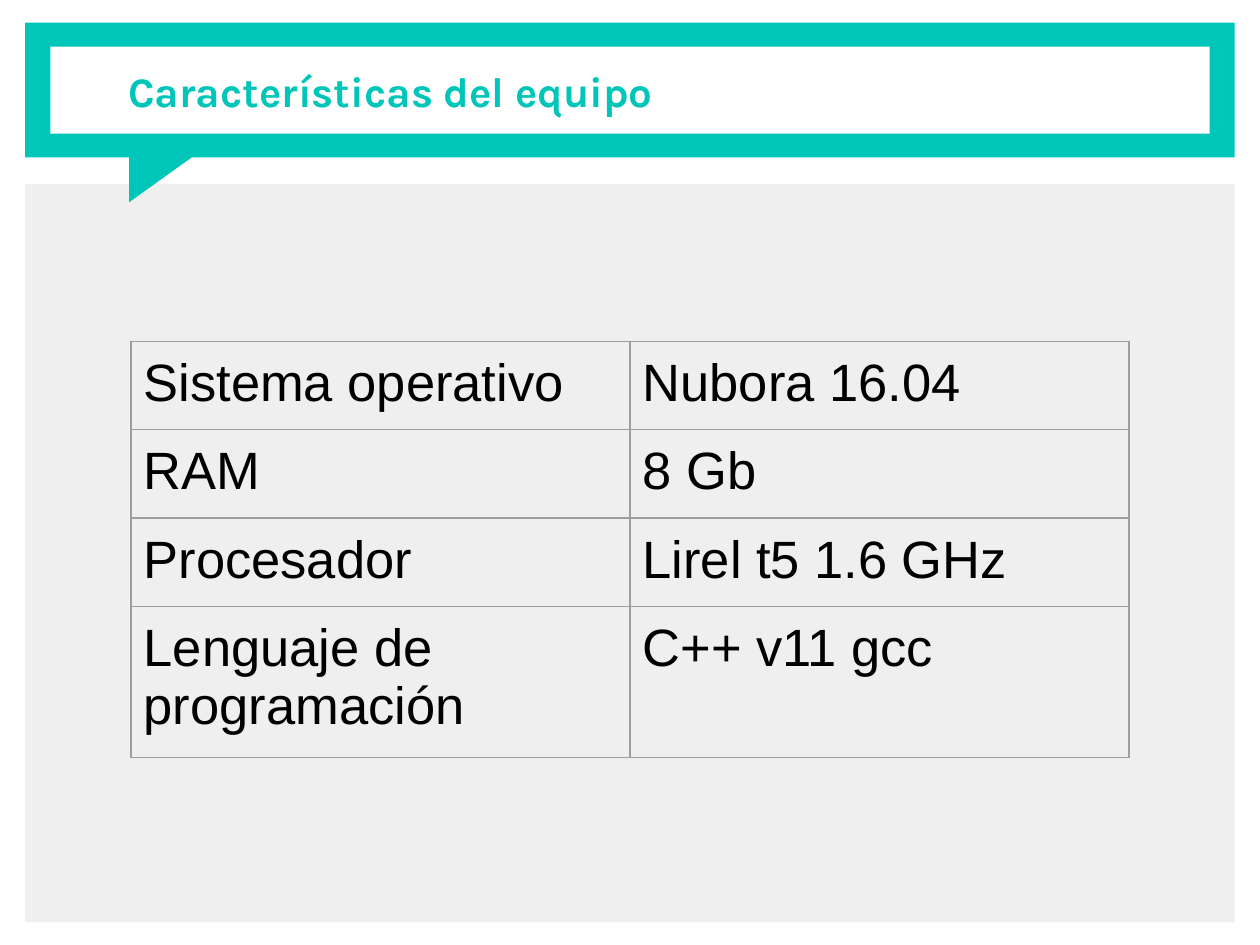
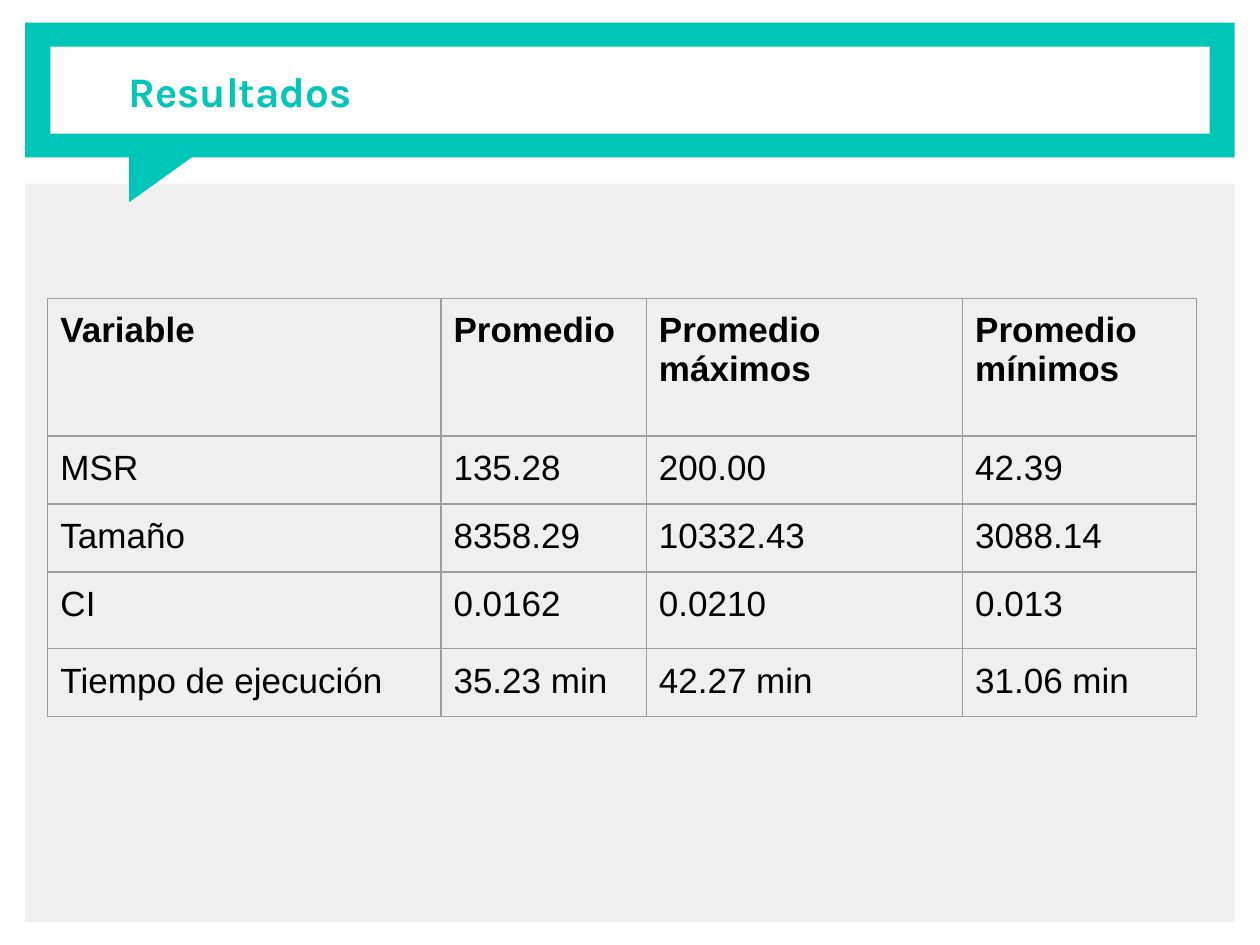
from lxml import etree
from pptx import Presentation
from pptx.dml.color import RGBColor
from pptx.enum.shapes import MSO_SHAPE
from pptx.enum.text import MSO_ANCHOR
from pptx.oxml.ns import qn
from pptx.util import Inches, Pt

RECTANGLE = MSO_SHAPE.RECTANGLE
RIGHT_TRIANGLE = MSO_SHAPE.RIGHT_TRIANGLE
MIDDLE = MSO_ANCHOR.MIDDLE

# Content
SLIDES = [
    {
        "title": "Características del equipo",
        "rows": [
            ("Sistema operativo", "Nubora 16.04"),
            ("RAM", "8 Gb"),
            ("Procesador", "Lirel t5 1.6 GHz"),
            ("Lenguaje de programación", "C++ v11 gcc"),
        ],
        "position": (1.04, 2.71),
        "column_widths": [3.96] * 2,
        "row_heights": [0.66] * 3 + [1.13],
        "font_size": 30,
        "has_header": False,
    },
    {
        "title": "Resultados",
        "rows": [
            ("Variable", "Promedio", "Promedio máximos", "Promedio mínimos"),
            ("MSR", "135.28", "200.00", "42.39"),
            ("Tamaño", "8358.29", "10332.43", "3088.14"),
            ("CI", "0.0162", "0.0210", "0.013"),
            ("Tiempo de ejecución", "35.23 min", "42.27 min", "31.06 min"),
        ],
        "position": (0.38, 2.37),
        "column_widths": [3.12, 1.63, 2.51, 1.86],
        "row_heights": [1.09, 0.54, 0.54, 0.61, 0.54],
        "font_size": 20,
        "has_header": True,
    },
]

# Shared style
TEAL, WHITE, GRAY, BORDER, BLACK = "00C5B9", "FFFFFF", "EFEFEF", "9E9E9E", "000000"
TITLE_FONT, TABLE_FONT = "Karla", "Arial"
TITLE_SIZE = 24
BORDER_WIDTH = 0.75
INSET = Inches(0.1)

# Background parts from back to front: preset, box, rotation, colour
FRAME = [
    (RECTANGLE, (0.2, 1.46, 9.6, 5.86), 0, GRAY),
    (RECTANGLE, (0.2, 0.18, 9.6, 1.07), 0, TEAL),
    (RIGHT_TRIANGLE, (1.12, 1.03, 0.48, 0.67), 90, TEAL),
    (RECTANGLE, (0.4, 0.37, 9.2, 0.69), 0, WHITE),
]
TITLE_BOX = (0.92, 0.19, 8.7, 1.06)


def color(hex_value):
    return RGBColor.from_string(hex_value)


def inches(values):
    return [Inches(value) for value in values]


def set_insets(target):
    target.margin_left = target.margin_right = INSET
    target.margin_top = target.margin_bottom = INSET


def add_run(paragraph, text, font_name, size, hex_value, bold):
    run = paragraph.add_run()
    run.text = text
    run.font.name = font_name
    run.font.size = Pt(size)
    run.font.bold = bold
    run.font.color.rgb = color(hex_value)


def add_frame(slide):
    for preset, box, rotation, hex_value in FRAME:
        shape = slide.shapes.add_shape(preset, *inches(box))
        shape.rotation = rotation
        shape.shadow.inherit = False
        shape.fill.solid()
        shape.fill.fore_color.rgb = color(hex_value)
        shape.line.fill.background()


def add_title(slide, title):
    text_frame = slide.shapes.add_textbox(*inches(TITLE_BOX)).text_frame
    text_frame.word_wrap = True
    text_frame.vertical_anchor = MIDDLE
    set_insets(text_frame)
    add_run(text_frame.paragraphs[0], title, TITLE_FONT, TITLE_SIZE, TEAL, True)


def add_borders(cell):
    properties = cell._tc.get_or_add_tcPr()
    for side in ("a:lnL", "a:lnR", "a:lnT", "a:lnB"):
        line = etree.SubElement(properties, qn(side), w=str(Pt(BORDER_WIDTH)))
        fill = etree.SubElement(line, qn("a:solidFill"))
        etree.SubElement(fill, qn("a:srgbClr"), val=BORDER)


def add_data_table(slide, content):
    rows = content["rows"]
    widths, heights = content["column_widths"], content["row_heights"]
    box = (*content["position"], sum(widths), sum(heights))
    table = slide.shapes.add_table(len(rows), len(widths), *inches(box)).table
    table.first_row = content["has_header"]
    table.horz_banding = False
    for column, width in zip(table.columns, widths):
        column.width = Inches(width)
    for row, height in zip(table.rows, heights):
        row.height = Inches(height)

    for row_index, values in enumerate(rows):
        bold = content["has_header"] and row_index == 0
        for column_index, value in enumerate(values):
            cell = table.cell(row_index, column_index)
            set_insets(cell)
            add_borders(cell)
            cell.fill.background()
            add_run(cell.text_frame.paragraphs[0], value, TABLE_FONT,
                    content["font_size"], BLACK, bold)


def main():
    presentation = Presentation()
    presentation.slide_width = Inches(10)
    presentation.slide_height = Inches(7.5)
    blank_layout = presentation.slide_layouts[6]
    for content in SLIDES:
        slide = presentation.slides.add_slide(blank_layout)
        add_frame(slide)
        add_title(slide, content["title"])
        add_data_table(slide, content)
    presentation.save("out.pptx")


if __name__ == "__main__":
    main()
